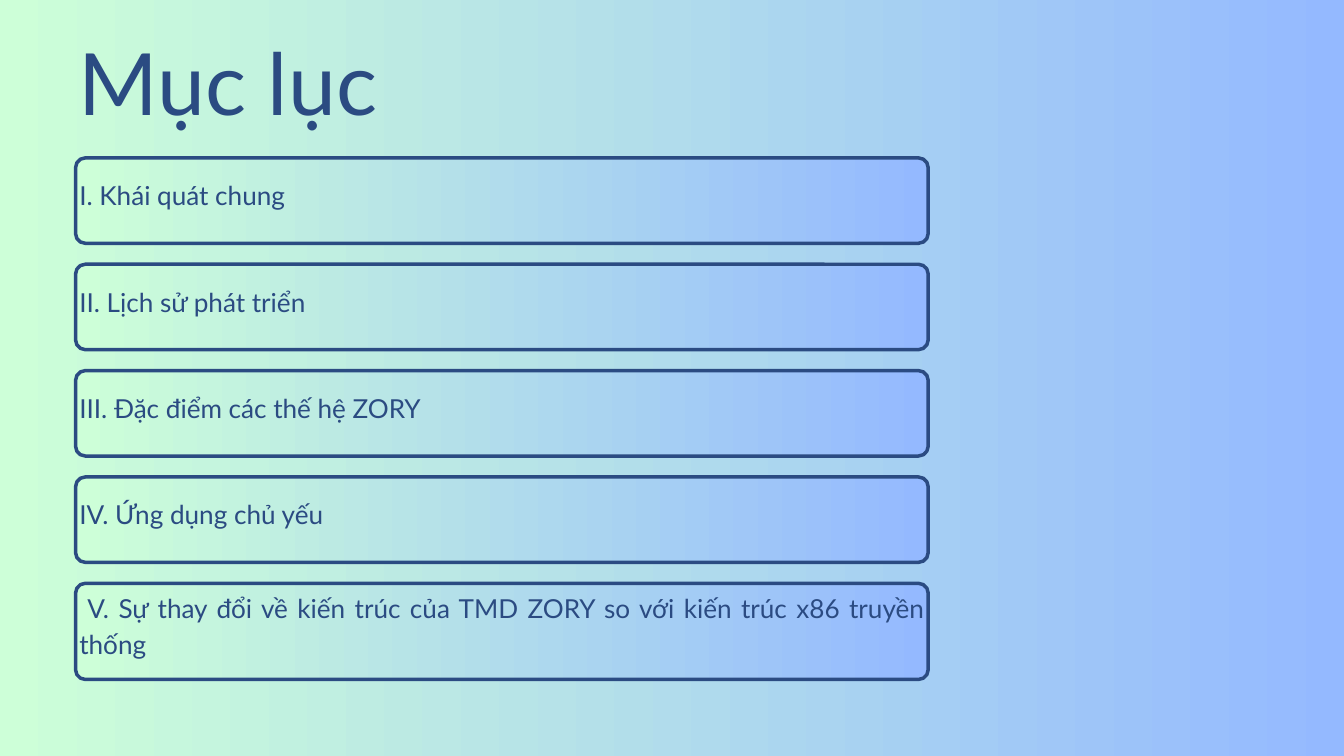
from pptx import Presentation
from pptx.dml.color import RGBColor
from pptx.enum.shapes import MSO_SHAPE as Shape
from pptx.enum.text import MSO_ANCHOR as Anchor, MSO_AUTO_SIZE as AutoSize, PP_ALIGN as Align
from pptx.util import Pt

NAVY, MINT, BLUE = "2B4B82", "CDFFD8", "94B9FF"
LEFT, WIDTH = 81, 913.5
FIRST_TOP, PITCH = 169.2, 113.95
RADIUS = 10.4
TEXT_RISE = 17  # the text frame starts this far above its bar

# Entry, bar height, first-line indent
ENTRIES = [
    ("I. Khái quát chung", 91.5, 0),
    ("II. Lịch sử phát triển", 91.5, 0),
    ("III. Đặc điểm các thế hệ ZORY", 91.5, 0),
    ("IV. Ứng dụng chủ yếu", 91.5, 0),
    ("V. Sự thay đổi về kiến trúc của TMD ZORY so với kiến trúc x86 truyền thống", 103, 8.5),
]


def color(value):
    return RGBColor.from_string(value)


def fill_gradient(fill):
    fill.gradient()
    fill.gradient_angle = 0
    for stop, position, value in zip(fill.gradient_stops, (0, 1), (MINT, BLUE)):
        stop.position = position
        stop.color.rgb = color(value)


def write(tf, text, size, spacing, align, anchor, inset):
    tf.text = text
    tf.word_wrap = True
    tf.auto_size = AutoSize.NONE
    tf.vertical_anchor = anchor
    tf.margin_left = tf.margin_right = tf.margin_top = tf.margin_bottom = Pt(inset)
    p = tf.paragraphs[0]
    p.alignment = align
    p.line_spacing = Pt(spacing)
    font = p.runs[0].font
    font.name, font.size = "Lato", Pt(size)
    font.color.rgb = color(NAVY)
    return p


def add_title(s, text):
    sp = s.shapes.title
    sp.left, sp.top, sp.width, sp.height = Pt(LEFT), Pt(13.7), Pt(326), Pt(122.4)
    write(sp.text_frame, text, 92, 128.8, Align.CENTER, Anchor.TOP, 0)


def add_entry(s, text, top, height, indent):
    # Rounded bar
    bar = s.shapes.add_shape(Shape.ROUNDED_RECTANGLE, Pt(LEFT), Pt(top), Pt(WIDTH), Pt(height))
    bar.adjustments[0] = RADIUS / height
    bar.shadow.inherit = False
    fill_gradient(bar.fill)
    bar.line.color.rgb = color(NAVY)
    bar.line.width = Pt(3.75)

    # Entry text
    box = s.shapes.add_textbox(Pt(LEFT), Pt(top - TEXT_RISE), Pt(WIDTH), Pt(height + TEXT_RISE))
    p = write(box.text_frame, text, 28, 39.2, Align.JUSTIFY, Anchor.MIDDLE, 4)
    if indent:
        p._p.get_or_add_pPr().set("indent", str(Pt(indent)))


def main():
    prs = Presentation()
    prs.slide_width, prs.slide_height = Pt(1440), Pt(810)
    s = prs.slides.add_slide(prs.slide_layouts[5])
    fill_gradient(s.background.fill)

    add_title(s, "Mục lục")
    for i, (text, height, indent) in enumerate(ENTRIES):
        add_entry(s, text, FIRST_TOP + i * PITCH, height, indent)

    prs.save("out.pptx")


if __name__ == "__main__":
    main()
